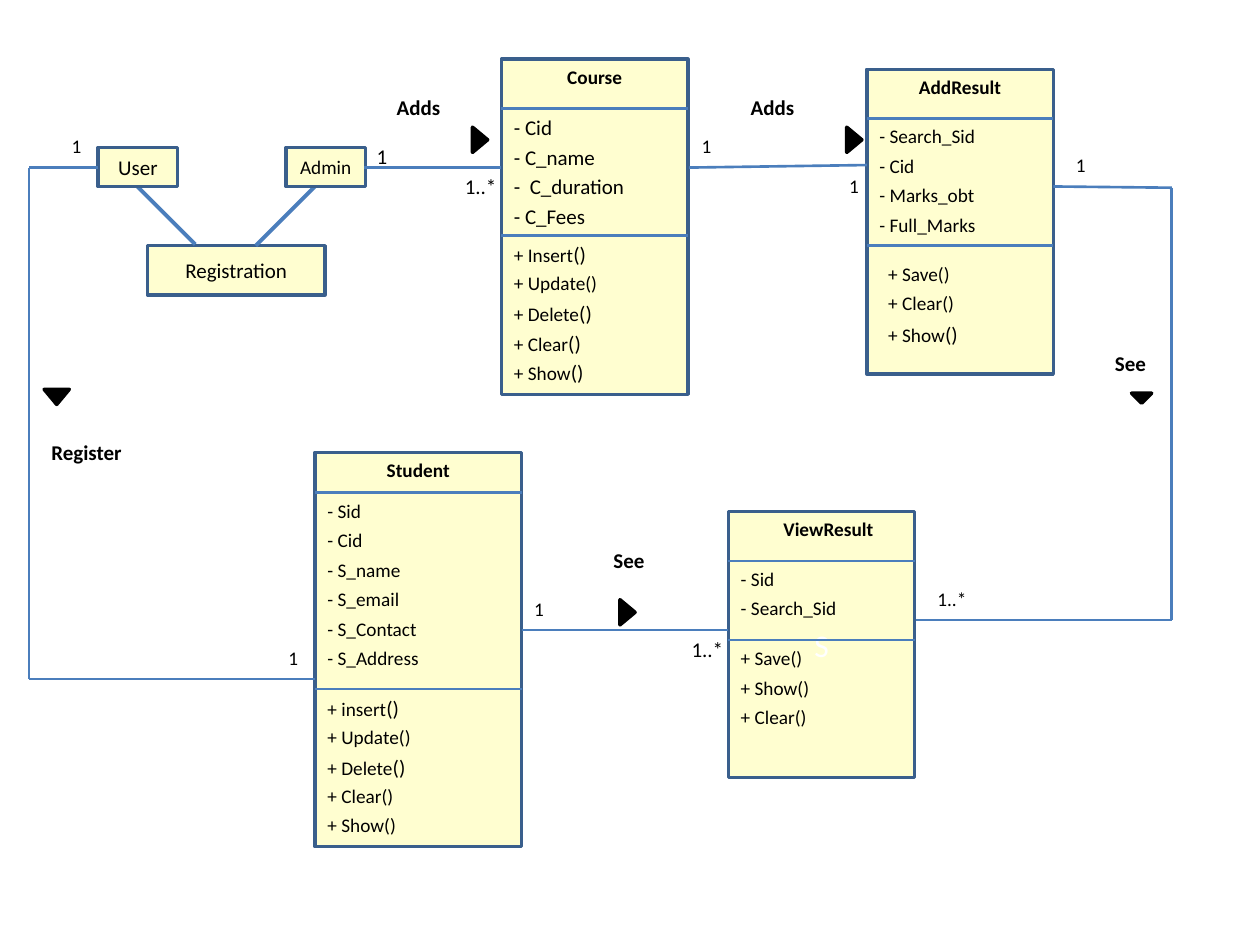
from dataclasses import dataclass

from lxml import etree
from pptx import Presentation
from pptx import util as u
from pptx.dml.color import RGBColor
from pptx.enum import shapes, text
from pptx.oxml import ns


@dataclass(frozen=True)
class Theme:
    font: str = "Calibri"
    fill: RGBColor = RGBColor(0xFF, 0xFE, 0xD0)
    border: RGBColor = RGBColor(0x3A, 0x5F, 0x8C)
    link: RGBColor = RGBColor(0x4B, 0x7E, 0xBC)
    ink: RGBColor = RGBColor(0, 0, 0)
    white: RGBColor = RGBColor(0xFF, 0xFF, 0xFF)
    small: float = 11
    medium: float = 12
    large: float = 18
    border_width: float = 2
    link_width: float = 1.5
    thin_width: float = 1
    thick_width: float = 2.25


THEME = Theme()
ROW = 7.5 / 32  # distance between the members of a class
LEFT, CENTER, RIGHT = (text.PP_ALIGN.LEFT, text.PP_ALIGN.CENTER,
                       text.PP_ALIGN.RIGHT)


def write(frame, words, size, bold=False, align=LEFT, color=THEME.ink):
    """Write one paragraph; the part after a bar is set in the medium size."""
    para = frame.paragraphs[0]
    para.alignment = align
    para.font.name, para.font.size = THEME.font, u.Pt(size)
    para.font.bold = bold
    para.font.color.rgb = color
    main_part, _, larger_part = words.partition("|")
    para.add_run().text = main_part
    if larger_part:
        span = para.add_run()
        span.text = larger_part
        span.font.size = u.Pt(THEME.medium)


def add_preset(page, kind, left, top, width, height, fill, line):
    shape = page.shapes.add_shape(kind, u.Inches(left), u.Inches(top),
                                  u.Inches(width), u.Inches(height))
    shape.shadow.inherit = False
    shape.fill.solid()
    shape.fill.fore_color.rgb = fill
    shape.line.color.rgb = line
    shape.line.width = u.Pt(THEME.border_width)
    return shape


def add_box(page, left, top, width, height, words, size, bold=False,
            anchor=text.MSO_ANCHOR.MIDDLE, color=THEME.ink):
    box = add_preset(page, shapes.MSO_SHAPE.RECTANGLE, left, top, width, height,
                     THEME.fill, THEME.border)
    box.text_frame.vertical_anchor = anchor
    write(box.text_frame, words, size, bold, CENTER, color)


def add_marker(page, left, top, rotation, width=0.2, height=0.12):
    marker = add_preset(page, shapes.MSO_SHAPE.ISOSCELES_TRIANGLE, left, top,
                        width, height, THEME.ink, THEME.ink)
    marker.rotation = rotation


def add_label(page, left, top, width, words, size=THEME.small, bold=False,
              wrap=True, align=LEFT):
    height = 0.29 if size == THEME.small else 0.3
    label = page.shapes.add_textbox(u.Inches(left), u.Inches(top),
                                    u.Inches(width), u.Inches(height))
    frame = label.text_frame
    frame.word_wrap = wrap
    frame.auto_size = text.MSO_AUTO_SIZE.SHAPE_TO_FIT_TEXT
    write(frame, words, size, bold, align)


def add_line(page, start, end, width=THEME.link_width):
    line = page.shapes.add_connector(shapes.MSO_CONNECTOR.STRAIGHT,
                                     *map(u.Inches, start + end))
    line.line.color.rgb = THEME.link
    line.line.width = u.Pt(width)
    etree.SubElement(line._element.spPr, ns.qn("a:effectLst"))


def add_path(page, *points):
    for start, end in zip(points, points[1:]):
        add_line(page, start, end)


def add_members(page, left, top, members, size=THEME.small, width=1.02):
    for index, member in enumerate(members):
        add_label(page, left, top + index * ROW, width, member, size)


def add_class(page, left, top, width, height, title, dividers):
    """Draw a class box; dividers are pairs of height on page and line width."""
    add_box(page, left, top, width, height, title, THEME.small, True,
            text.MSO_ANCHOR.TOP)
    add_dividers(page, left, width, dividers)


def add_dividers(page, left, width, dividers):
    for y, line_width in dividers:
        add_line(page, (left, y), (left + width, y), line_width)


def add_classes(page):
    normal, thin = THEME.link_width, THEME.thin_width

    # Course
    add_class(page, 3.98, 0.47, 1.48, 2.66, "Course",
              [(0.86, normal), (1.87, normal)])
    add_members(page, 3.98, 0.86,
                ["- Cid", "- C_name", "-  C_duration", "- C_Fees"],
                THEME.medium, 1.25)
    add_members(page, 3.98, 1.87, ["+ Insert|()", "+ Update()", "+ Delete|()",
                                   "+ Clear|()", "+ Show|()"])

    # AddResult
    add_class(page, 6.88, 0.55, 1.48, 2.42, "AddResult",
              [(0.94, normal), (1.95, normal)])
    add_members(page, 6.88, 0.94,
                ["- Search_Sid", "- Cid", "- Marks_obt", "- Full_Marks"])
    add_members(page, 6.95, 2.03, ["+ Save()", "+ Clear()", "+ Show|()"])

    # Student
    add_class(page, 2.5, 3.59, 1.64, 3.13, "Student",
              [(3.91, normal), (5.47, thin)])
    add_members(page, 2.5, 3.91, ["- Sid", "- Cid", "- S_name", "- S_email",
                                  "- S_Contact", "- S_Address"])
    add_members(page, 2.5, 5.47, ["+ insert|()", "+ Update()", "+ Delete|()",
                                  "+ Clear()", "+ Show()"])

    # ViewResult has its title in a label and a white letter in the box
    add_box(page, 5.78, 4.06, 1.48, 2.11, "S", THEME.large, color=THEME.white)
    add_dividers(page, 5.78, 1.48, [(4.45, thin), (5.08, normal)])
    add_label(page, 5.78, 4.06, 1.25, "ViewResult", bold=True, align=RIGHT)
    add_members(page, 5.78, 4.45, ["- Sid", "- Search_Sid"])
    add_members(page, 5.78, 5.08, ["+ Save()", "+ Show()", "+ Clear()"])


def add_registration(page):
    add_box(page, 1.17, 1.95, 1.41, 0.39, "Registration", THEME.medium)
    add_line(page, (1.09, 1.48), (1.55, 1.94), THEME.thick_width)
    add_line(page, (2.5, 1.48), (2.03, 1.95), THEME.thick_width)
    add_box(page, 0.78, 1.17, 0.63, 0.31, "User", THEME.medium)
    add_box(page, 2.27, 1.17, 0.63, 0.31, "Admin", THEME.small)


def add_associations(page):
    # Lines between the boxes
    add_path(page, (2.89, 1.33), (3.98, 1.33))
    add_path(page, (5.47, 1.33), (6.88, 1.31))
    add_path(page, (4.14, 5), (5.78, 5))
    add_path(page, (0.78, 1.33), (0.23, 1.33), (0.23, 5.39), (2.5, 5.39))
    add_path(page, (8.36, 1.48), (9.3, 1.49), (9.3, 4.92), (7.27, 4.92))

    # Names and reading directions
    for left, top, width, name in [
            (3.05, 0.7, 0.55, "Adds"), (5.86, 0.7, 0.55, "Adds"),
            (0.31, 3.44, 0.77, "Register"),
            (4.77, 4.3, 0.45, "See"), (8.75, 2.73, 0.45, "See")]:
        add_label(page, left, top, width, name, THEME.medium, True, wrap=False)
    for left, top, rotation in [(3.71, 1.05, 90), (6.68, 1.05, 90),
                                (4.88, 4.8, 90), (0.35, 3.09, 180)]:
        add_marker(page, left, top, rotation)
    add_marker(page, 8.98, 3.12, 180, 0.16, 0.08)

    # Multiplicities
    add_label(page, 2.89, 1.09, 0.29, "1", THEME.medium, wrap=False)
    for left, top in [(5.47, 1.02), (6.64, 1.33), (0.47, 1.02), (2.19, 5.08),
                      (4.14, 4.69), (8.44, 1.17)]:
        add_label(page, left, top, 0.28, "1", wrap=False)
    add_label(page, 3.59, 1.33, 0.55, "1..*", THEME.medium)
    add_label(page, 5.39, 5, 0.47, "1..*", THEME.medium)
    add_label(page, 7.34, 4.61, 0.78, "1..*")


def main():
    deck = Presentation()
    deck.slide_width, deck.slide_height = u.Inches(10), u.Inches(7.5)
    page = deck.slides.add_slide(deck.slide_layouts[6])
    add_classes(page)
    add_registration(page)
    add_associations(page)
    deck.save("out.pptx")


if __name__ == "__main__":
    main()
